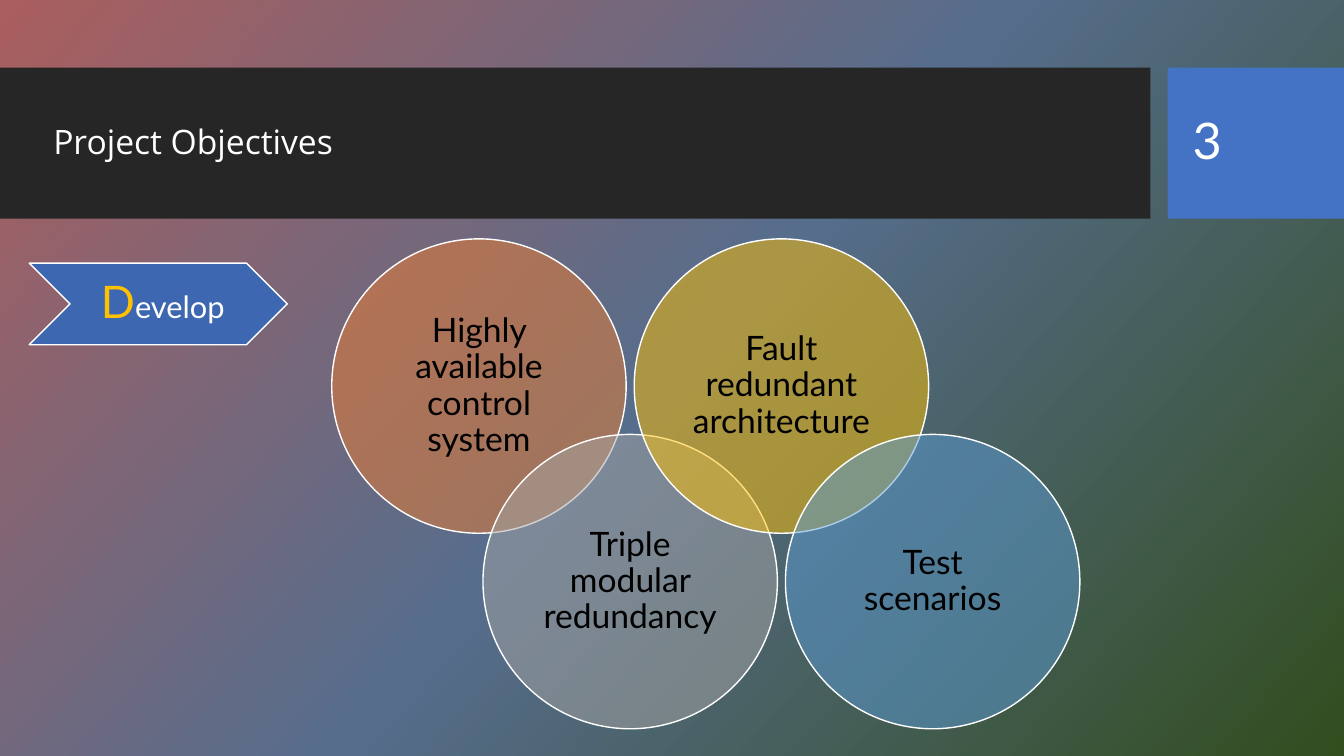
from copy import deepcopy
from dataclasses import dataclass

from lxml.etree import SubElement
from pptx import Presentation
from pptx.dml.color import RGBColor
from pptx.enum.shapes import MSO_SHAPE as Shape
from pptx.enum.text import MSO_ANCHOR as Anchor, PP_ALIGN as Align
from pptx.oxml.ns import qn
from pptx.util import Inches, Pt


@dataclass(frozen=True)
class Theme:
    heading_font: str = "Open Sans"
    body_font: str = "Lato"
    white: str = "FFFFFF"
    black: str = "000000"
    band: str = "262626"
    number_tile: str = "4472C4"
    chevron: str = "3E67B2"
    accent: str = "FFC000"
    backdrop: tuple = ("AA5E5E", "566D8C", "324D1E")
    circles: tuple = ("ED7D31", "A5A5A5", "FFC000", "5B9BD5")
    text_size: int = 24
    number_size: int = 36
    initial_size: int = 32
    verb_size: int = 22


THEME = Theme()
OBJECTIVES = (
    "Highly available control system",
    "Triple modular redundancy",
    "Fault redundant architecture",
    "Test scenarios",
)


def add_filled(page, kind, box, color, outlined=False):
    shape = page.shapes.add_shape(kind, *map(Inches, box))
    shape.shadow.inherit = False
    shape.fill.solid()
    shape.fill.fore_color.rgb = RGBColor.from_string(color)
    if outlined:
        shape.line.color.rgb = RGBColor.from_string(THEME.white)
        shape.line.width = Pt(1)
    else:
        shape.line.fill.background()
    return shape


def style_span(span, size, color, font=THEME.body_font):
    span.font.name = font
    span.font.size = Pt(size)
    span.font.color.rgb = RGBColor.from_string(color)


def prepare_frame(shape, align, insets=(0.1, 0.05, 0.1, 0.05)):
    frame = shape.text_frame
    frame.word_wrap = True
    frame.vertical_anchor = Anchor.MIDDLE
    (frame.margin_left, frame.margin_top,
     frame.margin_right, frame.margin_bottom) = map(Inches, insets)
    para = frame.paragraphs[0]
    para.alignment = align
    para.line_spacing = 0.9
    return para


def add_label(page, box, text, size, font):
    label = page.shapes.add_textbox(*map(Inches, box))
    span = prepare_frame(label, Align.LEFT).add_run()
    span.text = text
    style_span(span, size, THEME.white, font)


def paint_backdrop(page):
    fill = page.background.fill
    fill.gradient()
    fill.gradient_angle = 318
    # A third stop goes between the two default ones
    first = page.element.find(".//" + qn("a:gs"))
    first.addnext(deepcopy(first))
    for index, (stop, color) in enumerate(zip(fill.gradient_stops, THEME.backdrop)):
        stop.position = index / 2
        stop.color.rgb = RGBColor.from_string(color)


def add_header(page, left, top, width, height):
    tile_width, gap = 1.75, 0.17
    tile_left = left + width - tile_width
    band_width = width - tile_width - gap
    add_filled(page, Shape.RECTANGLE, (left, top, band_width, height), THEME.band)
    add_filled(page, Shape.RECTANGLE, (tile_left, top, tile_width, height),
               THEME.number_tile)
    add_label(page, (left + 0.43, top + 0.03, band_width - 0.43, height - 0.05),
              "Project Objectives", THEME.text_size, THEME.heading_font)
    add_label(page, (tile_left + 0.15, top + 0.15, 1.26, height - 0.3),
              "3", THEME.number_size, THEME.body_font)


def add_verb_chevron(page, left, top, width, height):
    chevron = add_filled(page, Shape.CHEVRON, (left, top, width, height),
                         THEME.chevron, outlined=True)
    para = prepare_frame(chevron, Align.CENTER, (0.14, 0.05, 0.05, 0.05))
    for text, size, color in (("D", THEME.initial_size, THEME.accent),
                              ("evelop", THEME.verb_size, THEME.white)):
        span = para.add_run()
        span.text = text
        style_span(span, size, color)


def add_objective_circles(page, left, top, width, height):
    diameter = 2.92
    step = (width - diameter) / (len(OBJECTIVES) - 1)
    drop = height - diameter
    for index, (text, color) in enumerate(zip(OBJECTIVES, THEME.circles)):
        box = (left + index * step, top + index % 2 * drop, diameter, diameter)
        circle = add_filled(page, Shape.OVAL, box, color, outlined=True)
        # Half transparent, so that overlaps show
        tint = circle.fill._xPr.find(".//" + qn("a:srgbClr"))
        SubElement(tint, qn("a:alpha"), val="50000")
        span = prepare_frame(circle, Align.CENTER, (0.1,) * 4).add_run()
        span.text = text
        style_span(span, THEME.text_size, THEME.black)


def main():
    deck = Presentation()
    deck.slide_width, deck.slide_height = Inches(13.33), Inches(7.5)
    page = deck.slides.add_slide(deck.slide_layouts[6])
    paint_backdrop(page)
    add_header(page, 0, 0.67, 13.33, 1.5)
    add_objective_circles(page, 3.29, 2.37, 7.42, 4.86)
    add_verb_chevron(page, 0.29, 2.61, 2.56, 0.81)
    deck.save("out.pptx")


if __name__ == "__main__":
    main()
